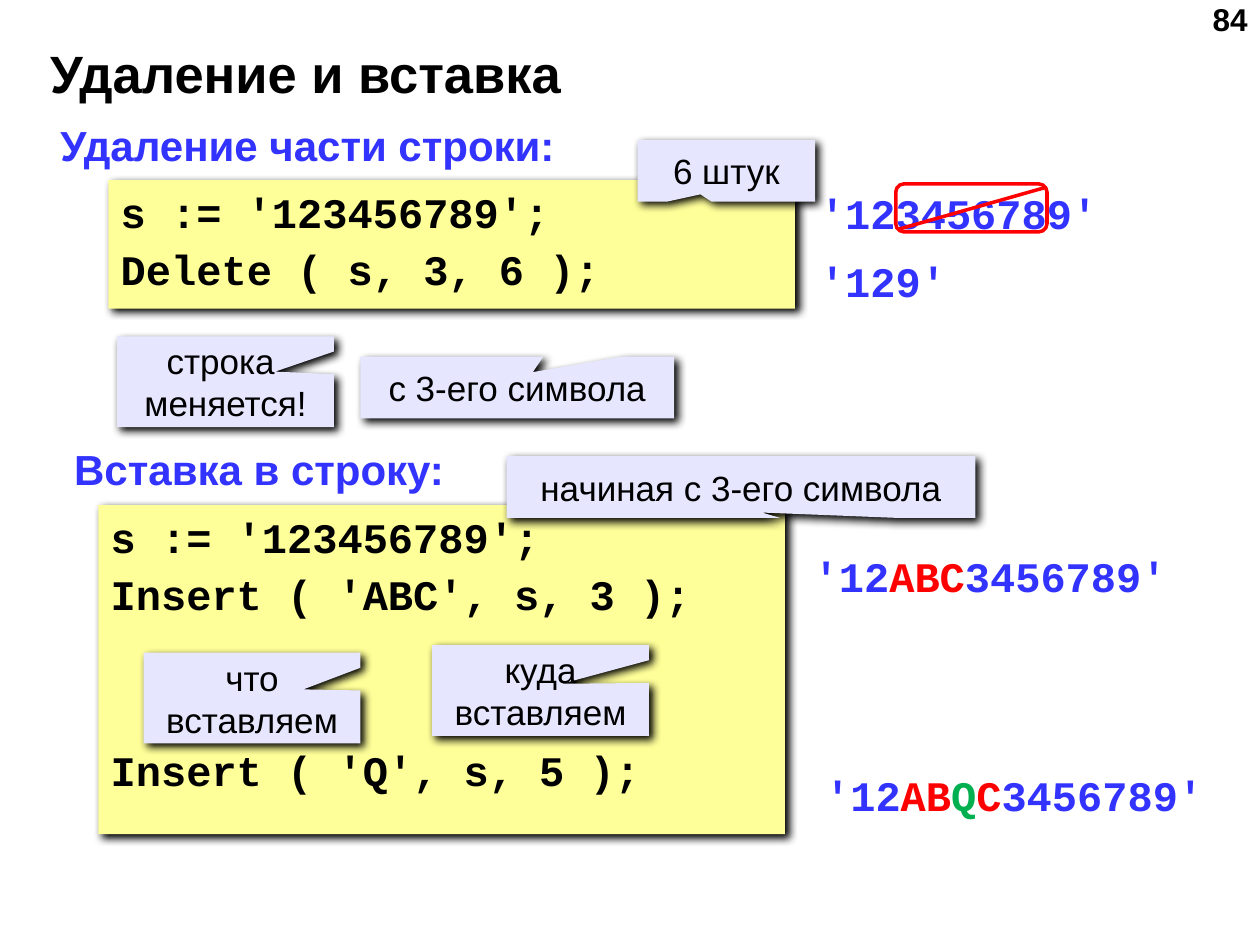
from lxml import etree
from pptx import Presentation
from pptx.dml.color import RGBColor
from pptx.enum.shapes import MSO_CONNECTOR, MSO_SHAPE
from pptx.enum.text import MSO_ANCHOR, PP_ALIGN
from pptx.oxml.ns import qn
from pptx.util import Inches, Pt

RECT = MSO_SHAPE.RECTANGLE
ROUND = MSO_SHAPE.ROUNDED_RECTANGLE
BUBBLE = MSO_SHAPE.ROUNDED_RECTANGULAR_CALLOUT
LINE = MSO_CONNECTOR.STRAIGHT
LEFT, CENTER, RIGHT = PP_ALIGN.LEFT, PP_ALIGN.CENTER, PP_ALIGN.RIGHT
TOP, MIDDLE = MSO_ANCHOR.TOP, MSO_ANCHOR.MIDDLE
SANS, MONO = "Arial", "Courier New"
BLACK, BLUE, RED, GREEN = "000000", "3333FF", "FF0000", "00B050"
YELLOW, LILAC = "FFFF99", "E6E6FF"
COLS, ROWS = 100, 75
WIDE, HIGH = Inches(10), Inches(7.5)


def color(code):
    return RGBColor.from_string(code)


def place(box, x, y, w, h):
    left, top = box[:2]
    return (round((left + x) * WIDE / COLS), round((top + y) * HIGH / ROWS),
            round(w * WIDE / COLS), round(h * HIGH / ROWS))


def write(shape, lines, size, font=SANS, bold=True, align=LEFT,
          anchor=TOP, gaps=()):
    frame = shape.text_frame
    frame.word_wrap = True
    frame.vertical_anchor = anchor
    for i, runs in enumerate(lines):
        para = frame.paragraphs[0] if i == 0 else frame.add_paragraph()
        para.alignment = align
        if i:
            para.space_before = Pt(gaps[i - 1] if gaps else 0)
        for text, tint in runs:
            run = para.add_run()
            run.text = text
            run.font.size = Pt(size)
            run.font.name = font
            run.font.bold = bold
            run.font.color.rgb = color(tint)


def label(slide, spot, runs, size, **style):
    write(slide.shapes.add_textbox(*spot), [runs], size, **style)


def panel(slide, kind, spot, fill):
    shape = slide.shapes.add_shape(kind, *spot)
    shape.fill.solid()
    shape.fill.fore_color.rgb = color(fill)
    shape.line.fill.background()
    shape.shadow.inherit = False
    effects = shape.element.spPr.find(qn("a:effectLst"))
    shade = etree.SubElement(effects, qn("a:outerShdw"), blurRad=str(Pt(5)),
                             dist=str(Pt(2.8)), dir="2700000", algn="ctr",
                             rotWithShape="0")
    etree.SubElement(shade, qn("a:srgbClr"), val=BLACK)
    return shape


def code(slide, spot, lines, gaps):
    shape = panel(slide, RECT, spot, YELLOW)
    write(shape, [[(line, BLACK)] for line in lines], 24, MONO, gaps=gaps)


def callout(slide, spot, tip, *lines):
    shape = panel(slide, BUBBLE, spot, LILAC)
    for i, value in enumerate((*tip, 0)):
        shape.adjustments[i] = value
    write(shape, [[(line, BLACK)] for line in lines], 20, bold=False,
          align=CENTER, anchor=MIDDLE)


def strike(slide, box):
    group = slide.shapes.add_group_shape().shapes
    frame = group.add_shape(ROUND, *place(box, 0, 0, 12, 3.8))
    frame.fill.background()
    frame.shadow.inherit = False
    x, y, w, h = place(box, 0.2, 0.3, 11.6, 3.3)
    slash = group.add_connector(LINE, x, y + h, x + w, y)
    etree.SubElement(slash.element.spPr, qn("a:effectLst"))
    for part in (frame, slash):
        part.line.color.rgb = color(RED)
        part.line.width = Pt(2)


def header(slide, box):
    label(slide, place(box, 3, 2.8, 97, 5.9), [("Удаление и вставка", BLACK)],
          30, anchor=MIDDLE)
    label(slide, place(box, 76.7, -0.5, 23.3, 3.8), [("84", BLACK)], 18,
          align=RIGHT)


def topic(slide, box, text):
    label(slide, place(box, 0, 0, 92.1, 5), [(text, BLUE)], 24)


def delete(slide, box):
    topic(slide, box, "Удаление части строки:")
    code(slide, place(box, 4.8, 5.3, 54.5, 10.2),
         ["s := '123456789';", "Delete ( s, 3, 6 );"], [3.6])
    callout(slide, place(box, 24.8, 19.3, 24.9, 4.9), (0.05, -0.247),
            "с 3-его символа")
    callout(slide, place(box, 46.8, 2.1, 14.1, 4.9), (-0.146, 0.383), "6 штук")
    callout(slide, place(box, 5.5, 17.7, 17.2, 7.2), (0.229, -0.112),
            "строка ", "меняется!")
    for i, text in enumerate(("'123456789'", "'129'")):
        label(slide, place(box, 60.3, 5.4 * (i + 1), 24.4, 5.4),
              [(text, BLUE)], 24, font=MONO)
    strike(slide, (box[0] + 67.3, box[1] + 5.6))


def insert(slide, box):
    topic(slide, box, "Вставка в строку:")
    code(slide, place(box, 2.9, 5.4, 54.5, 26.1),
         ["s := '123456789';", "Insert ( 'ABC', s, 3 );",
          "Insert ( 'Q', s, 5 );"], [3.6, 72])
    callout(slide, place(box, 29.4, 16.5, 17.2, 7.2), (0.098, -0.074),
            "куда вставляем")
    callout(slide, place(box, 6.5, 17.1, 17.2, 7.2), (0.237, -0.095),
            "что вставляем")
    callout(slide, place(box, 35.3, 1.5, 37.2, 4.9), (0.045, 0.414),
            "начиная с 3-его символа")
    head, tail = ("'12", BLUE), ("3456789'", BLUE)
    label(slide, place(box, 58.7, 8.5, 31, 5.4),
          [head, ("ABC", RED), tail], 24, font=MONO)
    label(slide, place(box, 59.6, 25.9, 32.8, 5.4),
          [head, ("AB", RED), ("Q", GREEN), ("C", RED), tail], 24, font=MONO)


def main():
    deck = Presentation()
    deck.slide_width, deck.slide_height = WIDE, HIGH
    slide = deck.slides.add_slide(deck.slide_layouts[6])
    header(slide, (0, 0))
    delete(slide, (3.8, 9))
    insert(slide, (4.9, 34.7))
    deck.save("out.pptx")


if __name__ == "__main__":
    main()
